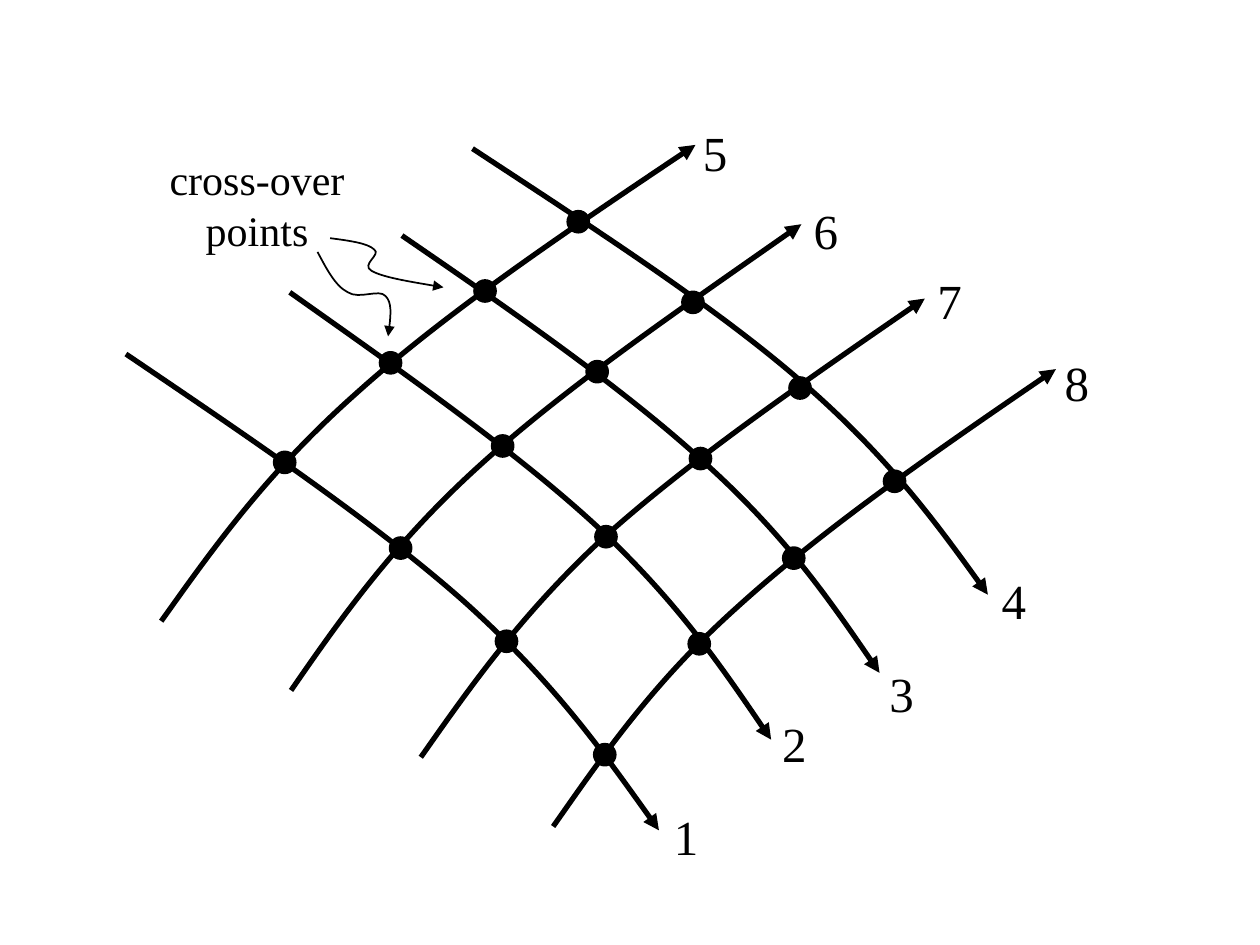
import pptx
import pptx.dml.color
import pptx.enum.shapes
import pptx.enum.text
import pptx.oxml.ns
import pptx.util
from lxml import etree
from pptx.util import Inches

BLACK = pptx.dml.color.RGBColor(0, 0, 0)
FONT = "Times New Roman"
DOT_SIZE = 0.16
LABEL_SIZE = (0.75, 0.57)

# Each line: label, label corner, Bezier points (end, control, control, end, ...).
RISING_LINES = [
    ("5", (5.48, 0.92), [(1.28, 4.93), (1.7, 4.34), (2.12, 3.75), (2.83, 3.12),
                         (3.53, 2.49), (4.52, 1.82), (5.52, 1.15)]),
    ("6", (6.36, 1.54), [(2.31, 5.48), (2.71, 4.9), (3.12, 4.32), (3.79, 3.71),
                         (4.47, 3.09), (5.42, 2.44), (6.36, 1.78)]),
    ("7", (7.34, 2.1), [(3.34, 6.01), (3.74, 5.44), (4.14, 4.87), (4.8, 4.26),
                        (5.47, 3.66), (6.41, 3.01), (7.34, 2.37)]),
    ("8", (8.35, 2.75), [(4.39, 6.56), (4.79, 5.99), (5.18, 5.42), (5.85, 4.82),
                         (6.51, 4.22), (7.44, 3.57), (8.38, 2.93)]),
]
FALLING_LINES = [
    ("1", (5.25, 6.35), [(5.23, 6.59), (4.81, 6), (4.39, 5.41), (3.69, 4.78),
                         (2.98, 4.15), (1.99, 3.48), (1, 2.81)]),
    ("2", (6.11, 5.61), [(6.12, 5.87), (5.74, 5.31), (5.36, 4.76), (4.73, 4.17),
                         (4.09, 3.58), (3.19, 2.95), (2.3, 2.32)]),
    ("3", (6.96, 5.22), [(6.98, 5.34), (6.61, 4.8), (6.23, 4.25), (5.6, 3.68),
                         (4.97, 3.1), (4.08, 2.48), (3.19, 1.87)]),
    ("4", (7.85, 4.48), [(7.84, 4.72), (7.44, 4.16), (7.03, 3.61), (6.35, 3.02),
                         (5.67, 2.43), (4.71, 1.81), (3.75, 1.18)]),
]
POINTERS = [
    [(2.62, 1.89), (2.77, 1.91), (2.92, 1.93), (2.97, 1.98), (3.03, 2.02),
     (2.86, 2.1), (2.95, 2.15), (3.04, 2.2), (3.28, 2.24), (3.52, 2.28)],
    [(2.52, 2), (2.59, 2.13), (2.66, 2.27), (2.76, 2.32), (2.85, 2.38),
     (3.01, 2.29), (3.06, 2.35), (3.11, 2.4), (3.1, 2.54), (3.08, 2.67)],
]
# Top left corners of the dots, one row for each rising line, 5 to 8.
CROSSINGS = [
    [(4.51, 1.68), (3.77, 2.23), (3.02, 2.8), (2.18, 3.59)],
    [(5.42, 2.32), (4.66, 2.87), (3.91, 3.46), (3.1, 4.27)],
    [(6.27, 3), (5.48, 3.56), (4.73, 4.18), (3.94, 5.01)],
    [(7.02, 3.74), (6.22, 4.35), (5.47, 5.03), (4.72, 5.91)],
]


def add_curve(shapes, points, width, arrow_end="tailEnd"):
    """Draw an open Bezier curve with an arrowhead at its tailEnd or headEnd."""
    start, *rest = [(Inches(x), Inches(y)) for x, y in points]
    builder = shapes.build_freeform(*start)
    builder.add_line_segments(rest, close=False)
    curve = builder.convert_to_shape()
    curve.shadow.inherit = False
    curve.fill.background()
    curve.line.color.rgb = BLACK
    curve.line.width = pptx.util.Pt(width)

    # Every three straight segments become one cubic segment.
    qn = pptx.oxml.ns.qn
    segments = list(curve.element.iter(qn("a:lnTo")))
    outline = segments[0].getparent()
    for first in range(0, len(segments), 3):
        cubic = etree.SubElement(outline, qn("a:cubicBezTo"))
        for segment in segments[first:first + 3]:
            cubic.append(segment[0])
            outline.remove(segment)
    line = curve.line._get_or_add_ln()
    etree.SubElement(line, qn(f"a:{arrow_end}"), type="triangle")


def add_dot(shapes, left, top):
    dot = shapes.add_shape(pptx.enum.shapes.MSO_SHAPE.OVAL, Inches(left), Inches(top),
                           Inches(DOT_SIZE), Inches(DOT_SIZE))
    dot.shadow.inherit = False
    dot.fill.solid()
    dot.fill.fore_color.rgb = BLACK
    dot.line.color.rgb = BLACK
    dot.line.width = pptx.util.Pt(2)


def add_text(shapes, text, box, size, alignment=pptx.enum.text.PP_ALIGN.LEFT):
    text_frame = shapes.add_textbox(*map(Inches, box)).text_frame
    text_frame.word_wrap = True
    text_frame.auto_size = pptx.enum.text.MSO_AUTO_SIZE.SHAPE_TO_FIT_TEXT
    text_frame.text = text
    paragraph = text_frame.paragraphs[0]
    paragraph.alignment = alignment
    font = paragraph.runs[0].font
    font.name = FONT
    font.size = pptx.util.Pt(size)
    font.color.rgb = BLACK


def main():
    presentation = pptx.Presentation()
    presentation.slide_width = Inches(10)
    presentation.slide_height = Inches(7.5)
    slide = presentation.slides.add_slide(presentation.slide_layouts[6])
    shapes = slide.shapes.add_group_shape().shapes

    for label, corner, points in RISING_LINES:
        add_curve(shapes, points, 3)
    for label, corner, points in FALLING_LINES:
        add_curve(shapes, points, 3, "headEnd")
    for row in CROSSINGS:
        for left, top in row:
            add_dot(shapes, left, top)
    for label, corner, points in RISING_LINES + FALLING_LINES:
        add_text(shapes, label, corner + LABEL_SIZE, 28)
    add_text(shapes, "cross-over points", (0.83, 1.17, 2.42, 0.91), 24,
             pptx.enum.text.PP_ALIGN.CENTER)
    for points in POINTERS:
        add_curve(shapes, points, 1)

    presentation.save("out.pptx")


if __name__ == "__main__":
    main()
